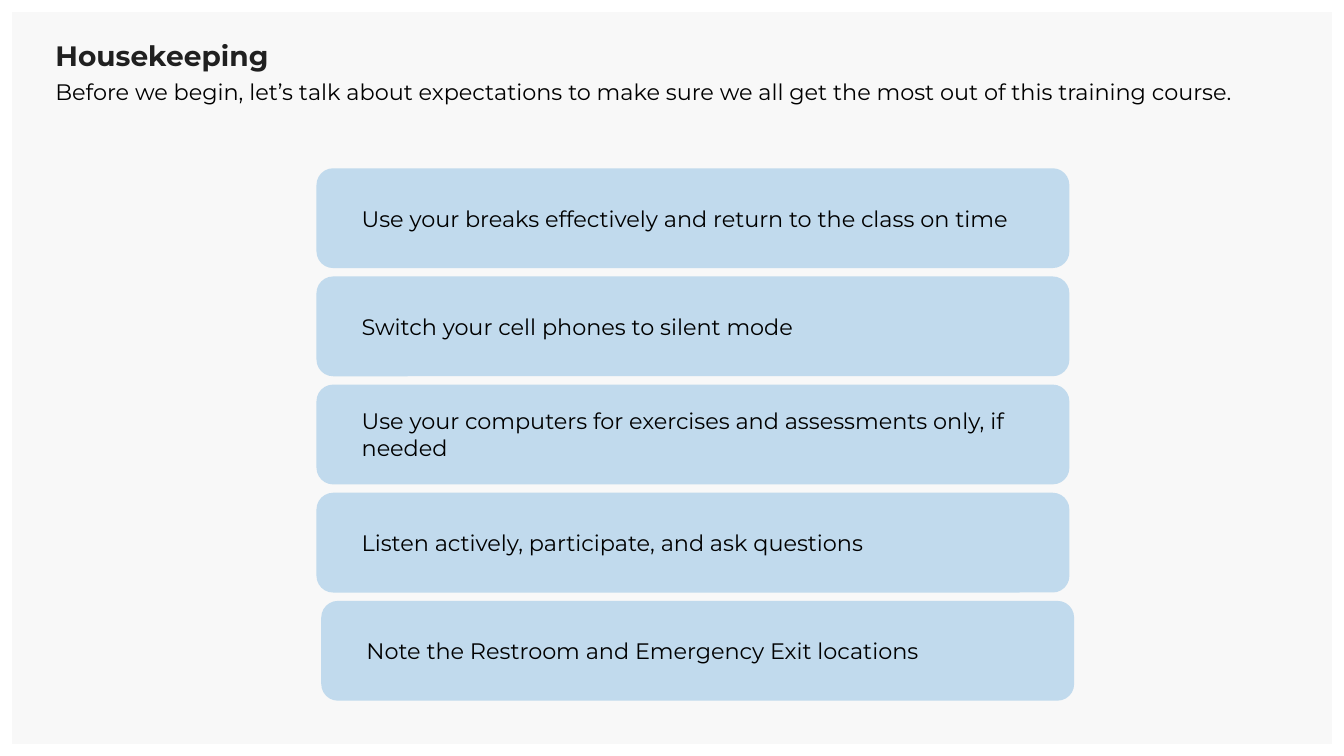
"""Build the Housekeeping slide of training expectations."""
from dataclasses import dataclass

from lxml.etree import SubElement
from pptx import Presentation
from pptx.dml.color import RGBColor
from pptx.enum.shapes import MSO_SHAPE as Preset
from pptx.enum.text import MSO_ANCHOR as Anchor, PP_ALIGN as Align
from pptx.oxml.ns import qn
from pptx.util import Pt


@dataclass(frozen=True)
class Theme:
    font: str = "Montserrat"
    panel: RGBColor = RGBColor(0xF8, 0xF8, 0xF8)
    card: RGBColor = RGBColor(0x9D, 0xC7, 0xE6)
    card_alpha: str = "60000"
    title: RGBColor = RGBColor(0x20, 0x20, 0x20)
    text: RGBColor = RGBColor(0, 0, 0)
    title_size: int = 20
    text_size: int = 16


theme = Theme()


def add_block(shapes, preset, left, top, width, height, color):
    shape = shapes.add_shape(preset, Pt(left), Pt(top), Pt(width), Pt(height))
    shape.shadow.inherit = False
    shape.fill.solid()
    shape.fill.fore_color.rgb = color
    shape.line.fill.background()
    return shape


def write_text(shape, text, *, size=theme.text_size, color=theme.text, bold=False,
               spacing=1.0, anchor=Anchor.TOP, margins=(0, 0, 0, 0)):
    frame = shape.text_frame
    frame.word_wrap = True
    frame.vertical_anchor = anchor
    frame.margin_left, frame.margin_top, frame.margin_right, frame.margin_bottom = map(Pt, margins)
    paragraph = frame.paragraphs[0]
    paragraph.alignment = Align.LEFT
    paragraph.line_spacing = spacing
    run = paragraph.add_run()
    run.text = text
    run.font.name = theme.font
    run.font.size = Pt(size)
    run.font.bold = bold
    run.font.color.rgb = color


presentation = Presentation()
presentation.slide_width = Pt(960)
presentation.slide_height = Pt(540)
slide = presentation.slides.add_slide(presentation.slide_layouts[6])

add_block(slide.shapes, Preset.RECTANGLE, 8.64, 8.64, 942.72, 522.72, theme.panel)

title = slide.shapes.add_textbox(Pt(39.6), Pt(25.2), Pt(881.3), Pt(26.6))
write_text(title, "Housekeeping", size=theme.title_size, color=theme.title, bold=True, spacing=1.1)

intro = slide.shapes.add_textbox(Pt(39.6), Pt(51.1), Pt(881.3), Pt(59.8))
write_text(
    intro,
    "Before we begin, let’s talk about expectations to make sure we all get the most "
    "out of this training course.",
    spacing=1.25,
)

card_left, card_top, card_pitch = 226.1, 120.2, 77.25
expectations = [
    ("Use your breaks effectively and return to the class on time", 0),
    ("Switch your cell phones to silent mode", 0),
    ("Use your computers for exercises and assessments only, if needed", 0),
    ("Listen actively, participate, and ask questions", 0),
    ("Note the Restroom and Emergency Exit locations", 3.4),
]
for index, (expectation, shift) in enumerate(expectations):
    card = add_block(slide.shapes, Preset.ROUNDED_RECTANGLE, card_left + shift,
                     card_top + index * card_pitch, 537.8, 71.3, theme.card)
    card_color = card.fill._xPr.find(qn("a:solidFill"))[0]
    SubElement(card_color, qn("a:alpha"), val=theme.card_alpha)
    write_text(card, expectation, anchor=Anchor.MIDDLE, margins=(28.8, 3.6, 7.2, 3.6))

presentation.save("out.pptx")
